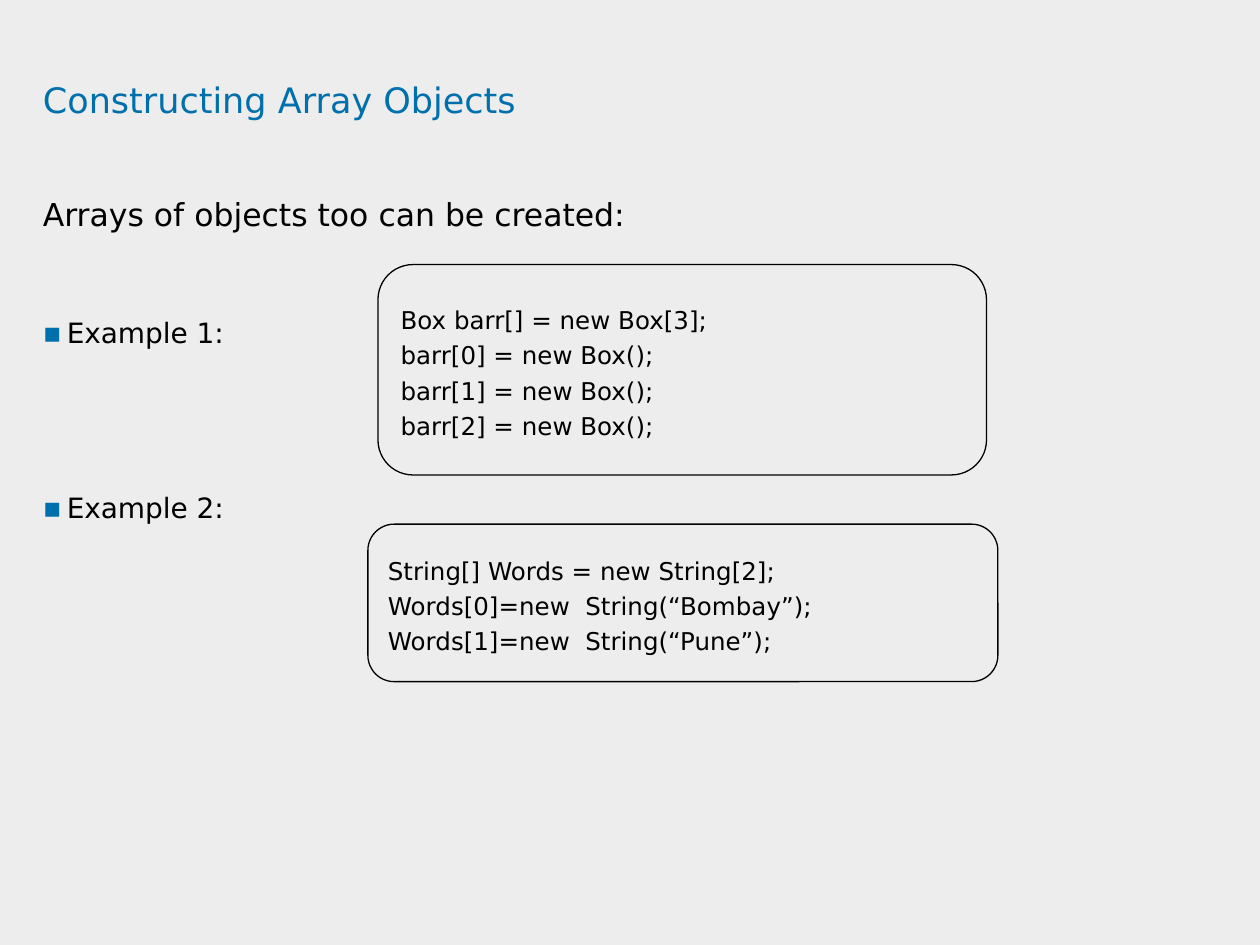
"""Build the slide on constructing arrays of objects."""
from dataclasses import dataclass
from typing import Any

import lxml.etree
import pptx
import pptx.dml.color
import pptx.enum.shapes
import pptx.enum.text
import pptx.oxml.ns
import pptx.util

FONT = "DejaVu Sans"
BLUE, BLACK, PALE_GREY = "0070AD", "000000", "EDEDED"
COLUMNS, ROWS = 100, 75
SLIDE_WIDTH, SLIDE_HEIGHT = pptx.util.Inches(10), pptx.util.Inches(7.5)
MARGIN = 3.4
BULLET_INDENT = pptx.util.Inches(0.19)
BLANK_LINE = 33.3


@dataclass(frozen=True)
class Area:
    """A place on the slide, in grid columns and rows."""

    column: float
    row: float
    columns: float
    rows: float

    def box(self) -> dict[str, int]:
        """Give the place as position and size values."""
        return {
            "left": round(SLIDE_WIDTH * self.column / COLUMNS),
            "top": round(SLIDE_HEIGHT * self.row / ROWS),
            "width": round(SLIDE_WIDTH * self.columns / COLUMNS),
            "height": round(SLIDE_HEIGHT * self.rows / ROWS),
        }


@dataclass(frozen=True)
class Line:
    """One paragraph and its look."""

    words: str
    size: float
    color: str = BLACK
    spacing: float = 1.5
    before: float = 0
    after: float = 0
    bulleted: bool = False


@dataclass(frozen=True)
class CodeBox:
    """A rounded frame around lines of code."""

    area: Area
    code: tuple[str, ...]


TITLE = Line("Constructing Array Objects", 20, BLUE)
OUTLINE = (
    Line("Arrays of objects too can be created:", 18, after=4.5),
    Line("Example 1:", 16, before=BLANK_LINE, after=4.5, bulleted=True),
    Line("Example 2:", 16, before=2 * BLANK_LINE, after=4.5, bulleted=True),
)
EXAMPLES = (
    CodeBox(
        Area(30, 21, 48.3, 16.7),
        ("Box barr[] = new Box[3];", *(f"barr[{i}] = new Box();" for i in range(3))),
    ),
    CodeBox(
        Area(29.2, 41.6, 50, 12.5),
        (
            "String[] Words = new String[2];",
            "Words[0]=new  String(“Bombay”);",
            "Words[1]=new  String(“Pune”);",
        ),
    ),
)


def rgb(color: str) -> pptx.dml.color.RGBColor:
    """Turn a hex string into a colour."""
    return pptx.dml.color.RGBColor.from_string(color)


def apply(target: Any, values: dict[str, Any]) -> None:
    """Set each named attribute on the target."""
    for name, value in values.items():
        setattr(target, name, value)


def add_bullet(paragraph: Any) -> None:
    """Give a paragraph a hanging blue square bullet."""
    properties = paragraph._p.get_or_add_pPr()
    properties.set("marL", str(BULLET_INDENT))
    properties.set("indent", str(-BULLET_INDENT))
    qn = pptx.oxml.ns.qn
    tint = lxml.etree.SubElement(properties, qn("a:buClr"))
    lxml.etree.SubElement(tint, qn("a:srgbClr"), val=BLUE)
    lxml.etree.SubElement(properties, qn("a:buFont"), typeface=FONT)
    lxml.etree.SubElement(properties, qn("a:buChar"), char="▪")


def write(frame: Any, lines: tuple[Line, ...], **frame_format: Any) -> None:
    """Fill a text frame with formatted lines."""
    apply(frame, {"word_wrap": True, "auto_size": pptx.enum.text.MSO_AUTO_SIZE.NONE, **frame_format})
    for index, line in enumerate(lines):
        paragraph = frame.add_paragraph() if index else frame.paragraphs[0]
        apply(paragraph, {
            "alignment": pptx.enum.text.PP_ALIGN.LEFT,
            "line_spacing": line.spacing,
            "space_before": pptx.util.Pt(line.before),
            "space_after": pptx.util.Pt(line.after),
        })
        if line.bulleted:
            add_bullet(paragraph)
        run = paragraph.add_run()
        run.text = line.words
        apply(run.font, {"name": FONT, "size": pptx.util.Pt(line.size)})
        run.font.color.rgb = rgb(line.color)


def add_code_box(slide: Any, example: CodeBox) -> None:
    """Draw a rounded frame holding code."""
    frame = slide.shapes.add_shape(
        pptx.enum.shapes.MSO_SHAPE.ROUNDED_RECTANGLE, **example.area.box()
    )
    frame.shadow.inherit = False
    frame.fill.background()
    frame.line.color.rgb = rgb(BLACK)
    frame.line.width = pptx.util.Pt(0.75)
    lines = tuple(Line(words, 14, spacing=1.2) for words in example.code)
    write(frame.text_frame, lines, vertical_anchor=pptx.enum.text.MSO_ANCHOR.MIDDLE)


def main() -> None:
    """Build and save the slide."""
    deck = pptx.Presentation()
    apply(deck, {"slide_width": SLIDE_WIDTH, "slide_height": SLIDE_HEIGHT})
    slide = deck.slides.add_slide(deck.slide_layouts.get_by_name("Title Only"))
    slide.background.fill.solid()
    slide.background.fill.fore_color.rgb = rgb(PALE_GREY)

    flush_top = {
        **dict.fromkeys(("margin_left", "margin_top", "margin_right", "margin_bottom"), 0),
        "vertical_anchor": pptx.enum.text.MSO_ANCHOR.TOP,
    }
    heading = slide.shapes.title
    apply(heading, Area(MARGIN, 4.6, 90.9, 9.4).box())
    write(heading.text_frame, (TITLE,), **flush_top)
    outline = slide.shapes.add_textbox(**Area(MARGIN, 14, 96.6, 50.8).box())
    write(outline.text_frame, OUTLINE, **flush_top)
    for example in EXAMPLES:
        add_code_box(slide, example)
    deck.save("out.pptx")


if __name__ == "__main__":
    main()
